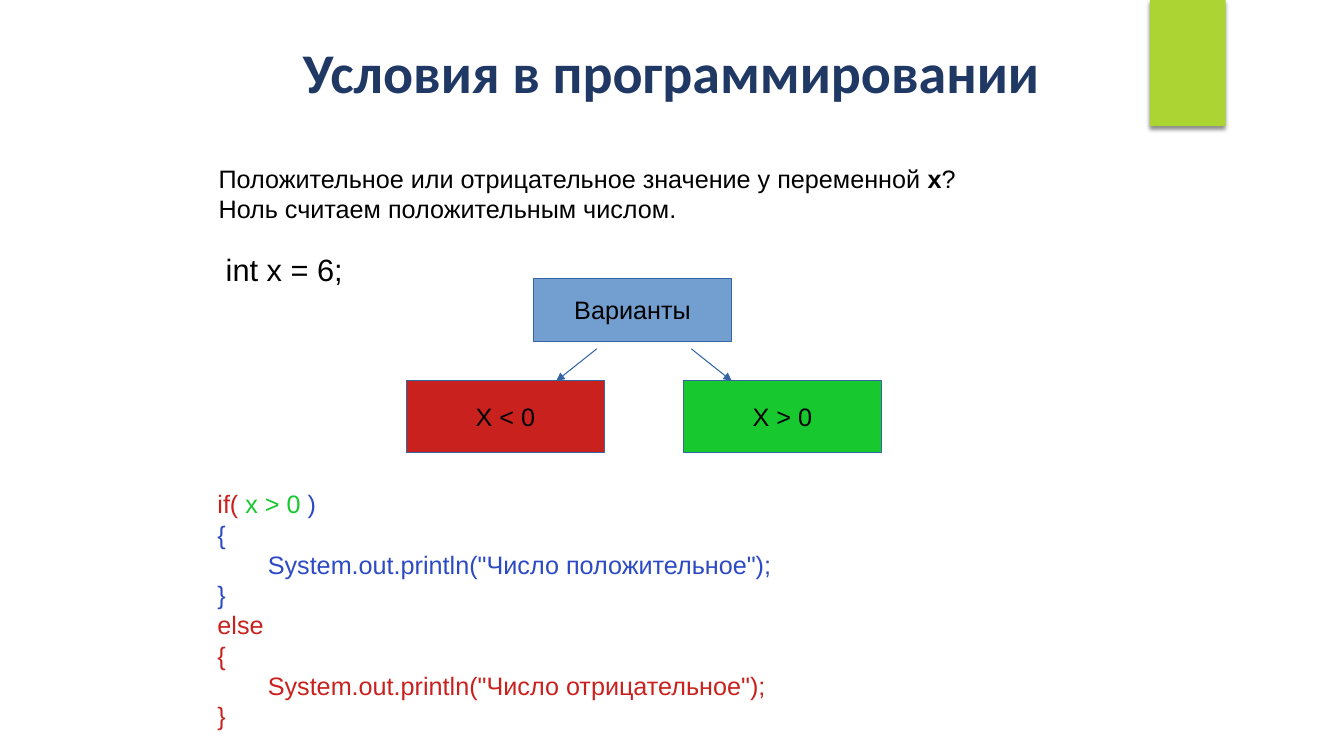
from dataclasses import dataclass
from lxml import etree
from pptx import Presentation
from pptx.dml.color import RGBColor
from pptx.enum.shapes import MSO_CONNECTOR, MSO_SHAPE
from pptx.enum.text import MSO_ANCHOR, PP_ALIGN
from pptx.oxml import parse_xml
from pptx.oxml.ns import nsdecls, qn
from pptx.slide import Slide
from pptx.util import Cm, Pt

BLACK, NAVY, LIME = "000000", "203864", "ACD433"
RED, GREEN, BLUE = "C9211E", "17C82F", "2C4AC4"
BOX_BLUE, OUTLINE = "729FCF", "3465A4"
CODE_INDENT = Cm(1.27)


def color(hex_string):
    return RGBColor.from_string(hex_string)


@dataclass
class Painter:
    page: Slide
    font: str = "Arial"
    size: float = 18
    line_width: float = 0.75

    def style(self, span, tint=BLACK, size=None, font=None, bold=False):
        span.font.name = font or self.font
        span.font.size = Pt(size or self.size)
        span.font.bold = bold
        span.font.color.rgb = color(tint)

    def text(self, place, lines, **look):
        """Add a text box; each line is a list of (wording, style changes)."""
        frame = self.page.shapes.add_textbox(*map(Cm, place)).text_frame
        frame.word_wrap = True
        for number, line in enumerate(lines):
            para = frame.add_paragraph() if number else frame.paragraphs[0]
            for wording, changes in line:
                span = para.add_run()
                span.text = wording
                self.style(span, **{**look, **changes})
        return frame

    def block(self, place, fill):
        box = self.page.shapes.add_shape(MSO_SHAPE.RECTANGLE, *map(Cm, place))
        box.shadow.inherit = False
        box.fill.solid()
        box.fill.fore_color.rgb = color(fill)
        box.line.fill.background()
        return box

    def labelled_box(self, place, fill, label):
        box = self.block(place, fill)
        box.line.color.rgb = color(OUTLINE)
        box.line.width = Pt(self.line_width)
        frame = box.text_frame
        frame.text = label
        frame.word_wrap = False
        frame.vertical_anchor = MSO_ANCHOR.MIDDLE
        para = frame.paragraphs[0]
        para.alignment = PP_ALIGN.CENTER
        self.style(para.runs[0])

    def arrow(self, *ends):
        line = self.page.shapes.add_connector(MSO_CONNECTOR.STRAIGHT, *map(Cm, ends))
        line.line.color.rgb = color(OUTLINE)
        line.line.width = Pt(self.line_width)
        etree.SubElement(line.line._get_or_add_ln(), qn("a:tailEnd"), type="triangle")
        etree.SubElement(line._element.spPr, qn("a:effectLst"))

    def shadowed_block(self, place, fill):
        effects = self.block(place, fill)._element.spPr.find(qn("a:effectLst"))
        effects.append(parse_xml(
            f'<a:outerShdw {nsdecls("a")} blurRad="{Pt(3)}" dist="{Pt(2)}" dir="5400000" '
            'rotWithShape="0"><a:srgbClr val="000000"><a:alpha val="45000"/>'
            '</a:srgbClr></a:outerShdw>'))


def branch(wording, tint):
    """Give the braces and the print statement of one branch."""
    statement = f'System.out.println("{wording}");'
    return [[(part, {"tint": tint})] for part in ("{", statement, "}")]


def main():
    deck = Presentation()
    deck.slide_width, deck.slide_height = Cm(33.87), Cm(19.05)
    painter = Painter(deck.slides.add_slide(deck.slide_layouts[6]))

    painter.shadowed_block((28.98, 0, 1.91, 3.18), LIME)
    title = painter.text((5.97, 0.84, 21.89, 2.11), [[("Условия в программировании", {})]],
                         tint=NAVY, size=40, font="Calibri", bold=True)
    title.vertical_anchor = MSO_ANCHOR.MIDDLE
    title.paragraphs[0].alignment = PP_ALIGN.CENTER
    title.paragraphs[0].line_spacing = 0.9

    painter.text((5.44, 6.2, 4.19, 1.4), [[("int x = 6;", {})]], size=22)
    painter.text((5.26, 3.99, 19.08, 1.68), [
        [("Положительное или отрицательное значение у переменной ", {}),
         ("x", {"bold": True}), ("?", {})],
        [("Ноль считаем положительным числом.", {})],
    ])

    painter.labelled_box((13.44, 7.01, 5, 1.6), BOX_BLUE, "Варианты")
    for left, fill, label in ((10.24, RED, "X < 0"), (17.22, GREEN, "X > 0")):
        painter.labelled_box((left, 9.6, 5, 1.8), fill, label)
    for start, end in ((15.04, 14.02), (17.42, 18.44)):
        painter.arrow(start, 8.79, end, 9.6)

    code = painter.text((5.23, 12.19, 19.41, 5.94), [
        [("if( ", {"tint": RED}), ("x > 0", {"tint": GREEN}), (" )", {"tint": BLUE})],
        *branch("Число положительное", BLUE),
        [("else", {"tint": RED})],
        *branch("Число отрицательное", RED),
    ])
    for para in code.paragraphs:
        if para.text.startswith("System"):
            para._p.get_or_add_pPr().set("marL", str(CODE_INDENT))

    deck.save("out.pptx")


if __name__ == "__main__":
    main()
